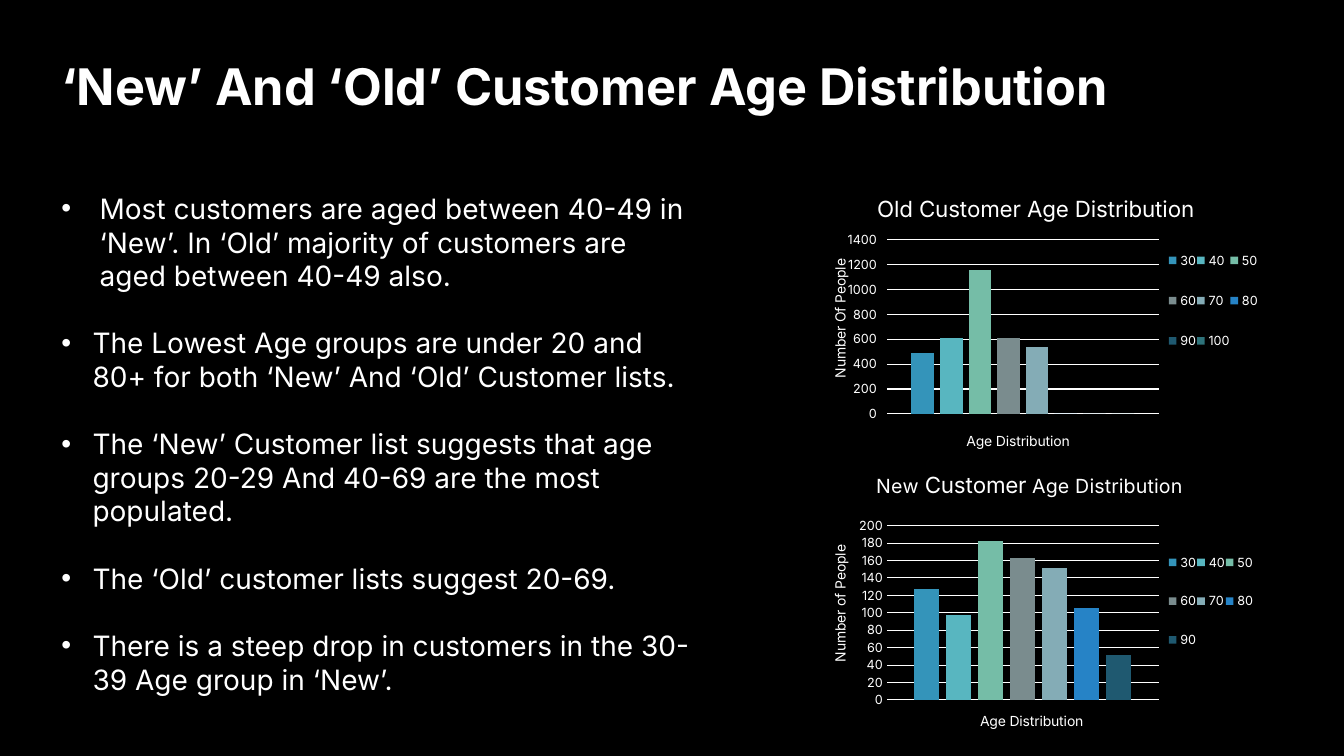
from dataclasses import dataclass

from lxml import etree
from pptx import Presentation
from pptx.chart.data import CategoryChartData
from pptx.dml.color import RGBColor
from pptx.enum.chart import XL_CHART_TYPE, XL_LEGEND_POSITION, XL_TICK_MARK
from pptx.oxml import parse_xml
from pptx.oxml.ns import nsdecls, qn
from pptx.util import Inches, Pt


@dataclass(frozen=True)
class Theme:
    font: str = "Inter"
    background: str = "000000"
    text: str = "FFFFFF"
    heading: int = 36
    body: int = 20
    axis_title: int = 10
    label: int = 9
    series: tuple = ("3494BA", "58B6C0", "75BDA7", "7A8C8E",
                     "84ACB6", "2683C6", "1F5970", "2E737A")


THEME = Theme()

BULLETS = [
    "Most customers are aged between 40-49 in ‘New’. In ‘Old’ majority of "
    "customers are aged between 40-49 also.",
    "The Lowest Age groups are under 20 and 80+ for both ‘New’ And ‘Old’ Customer lists.",
    "The ‘New’ Customer list suggests that age groups 20-29 And 40-69 are the most populated.",
    "The ‘Old’ customer lists suggest 20-69.",
    "There is a steep drop in customers in the 30-39 Age group in ‘New’.",
]

OLD_CHART = dict(
    top=1.6, title=[("Old Customer Age Distribution", 16)],
    value_title="Number Of People", maximum=1400, step=200, tick=XL_TICK_MARK.OUTSIDE,
    values=[490, 610, 1160, 610, 540, 0, 0, 0],
    title_at=(0.14, 0.1), value_title_at=(0.04, 0.33), age_title_at=(0.34, 0.92),
    legend_at=(0.79, 0.23, 0.2, 0.5), plot_at=(0.17, 0.27, 0.6, 0.6),
)
NEW_CHART = dict(
    top=4.38, title=[("New ", 14), ("Customer", 16), (" Age Distribution", 14)],
    value_title="Number of People", maximum=200, step=20, tick=XL_TICK_MARK.NONE,
    values=[127, 98, 182, 163, 151, 106, 51],
    title_at=(0.14, 0.09), value_title_at=(0.04, 0.35), age_title_at=(0.37, 0.92),
    legend_at=(0.79, 0.31, 0.19, 0.48), plot_at=(0.17, 0.29, 0.6, 0.6),
)


def style_font(font, size, bold=False):
    font.name = THEME.font
    font.size = Pt(size)
    font.bold = bold
    font.color.rgb = RGBColor.from_string(THEME.text)


def add_text_box(slide, left, top, width, height):
    box = slide.shapes.add_textbox(Inches(left), Inches(top), Inches(width), Inches(height))
    box.text_frame.word_wrap = True
    return box.text_frame


def add_run(paragraph, text, size, bold=False):
    run = paragraph.add_run()
    run.text = text
    style_font(run.font, size, bold)


def add_heading(slide, text):
    frame = add_text_box(slide, 0.51, 0.5, 11.11, 0.71)
    add_run(frame.paragraphs[0], text, THEME.heading, bold=True)


def add_bullets(slide, items):
    frame = add_text_box(slide, 0.51, 1.85, 6.43, 5.15)
    for index, item in enumerate(items):
        paragraph = frame.add_paragraph() if index else frame.paragraphs[0]
        paragraph.space_after = Pt(24 if index < len(items) - 1 else 0)
        add_run(paragraph, item, THEME.body)
        indent = Inches(0.31 if index else 0.38)
        properties = paragraph._p.get_or_add_pPr()
        properties.set("marL", str(indent))
        properties.set("indent", str(-indent))
        etree.SubElement(properties, qn("a:buFont")).set("typeface", "Arial")
        etree.SubElement(properties, qn("a:buChar")).set("char", "•")


def place(element, position, inner=False):
    for stale in element.findall(qn("c:layout")):
        element.remove(stale)
    target = '<c:layoutTarget val="inner"/>' if inner else ""
    modes = '<c:xMode val="edge"/><c:yMode val="edge"/>'
    sizes = "".join(f'<c:{key} val="{value}"/>' for key, value in zip("xywh", position))
    layout = parse_xml(f'<c:layout {nsdecls("c")}><c:manualLayout>{target}{modes}{sizes}'
                       "</c:manualLayout></c:layout>")
    leading = [child for child in element
               if child.tag in (qn("c:tx"), qn("c:legendPos"), qn("c:legendEntry"))]
    element.insert(len(leading), layout)


def set_title(owner, runs, position):
    owner.has_title = True
    title = owner.chart_title if hasattr(owner, "chart_title") else owner.axis_title
    paragraph = title.text_frame.paragraphs[0]
    for text, size in runs:
        add_run(paragraph, text, size)
    place(title._element, position)


def style_value_axis(axis, spec):
    axis.minimum_scale = 0
    axis.maximum_scale = spec["maximum"]
    axis.major_unit = spec["step"]
    axis.major_tick_mark = spec["tick"]
    axis.minor_tick_mark = XL_TICK_MARK.NONE
    axis.format.line.fill.background()
    axis.has_major_gridlines = True
    line = axis.major_gridlines.format.line
    line.width = Pt(0.75)
    line.color.rgb = RGBColor.from_string(THEME.text)
    style_font(axis.tick_labels.font, THEME.label)
    set_title(axis, [(spec["value_title"], THEME.axis_title)], spec["value_title_at"])


def add_age_chart(slide, spec):
    data = CategoryChartData()
    data.categories = ["1"]
    for index, value in enumerate(spec["values"]):
        data.add_series(str(30 + 10 * index), [value])
    chart = slide.shapes.add_chart(
        XL_CHART_TYPE.COLUMN_CLUSTERED, Inches(8.03), Inches(spec["top"]),
        Inches(4.5), Inches(2.9), data).chart
    style_font(chart.font, THEME.axis_title)
    set_title(chart, spec["title"], spec["title_at"])
    chart.chart_title.include_in_layout = False

    plot = chart.plots[0]
    plot.vary_by_categories = False
    plot.gap_width = 219
    plot.overlap = -27
    for series, color in zip(plot.series, THEME.series):
        series.format.fill.solid()
        series.format.fill.fore_color.rgb = RGBColor.from_string(color)

    style_value_axis(chart.value_axis, spec)
    chart.category_axis.visible = False
    set_title(chart.category_axis, [("Age Distribution", THEME.axis_title)],
              spec["age_title_at"])

    chart.has_legend = True
    chart.legend.position = XL_LEGEND_POSITION.RIGHT
    chart.legend.include_in_layout = False
    style_font(chart.legend.font, THEME.label)
    place(chart.legend._element, spec["legend_at"])
    place(chart._chartSpace.chart.plotArea, spec["plot_at"], inner=True)


def main():
    deck = Presentation()
    deck.slide_width, deck.slide_height = Inches(13.33), Inches(7.5)
    slide = deck.slides.add_slide(deck.slide_layouts[6])
    slide.background.fill.solid()
    slide.background.fill.fore_color.rgb = RGBColor.from_string(THEME.background)
    add_bullets(slide, BULLETS)
    for spec in (OLD_CHART, NEW_CHART):
        add_age_chart(slide, spec)
    add_heading(slide, "‘New’ And ‘Old’ Customer Age Distribution")
    deck.save("out.pptx")


main()
